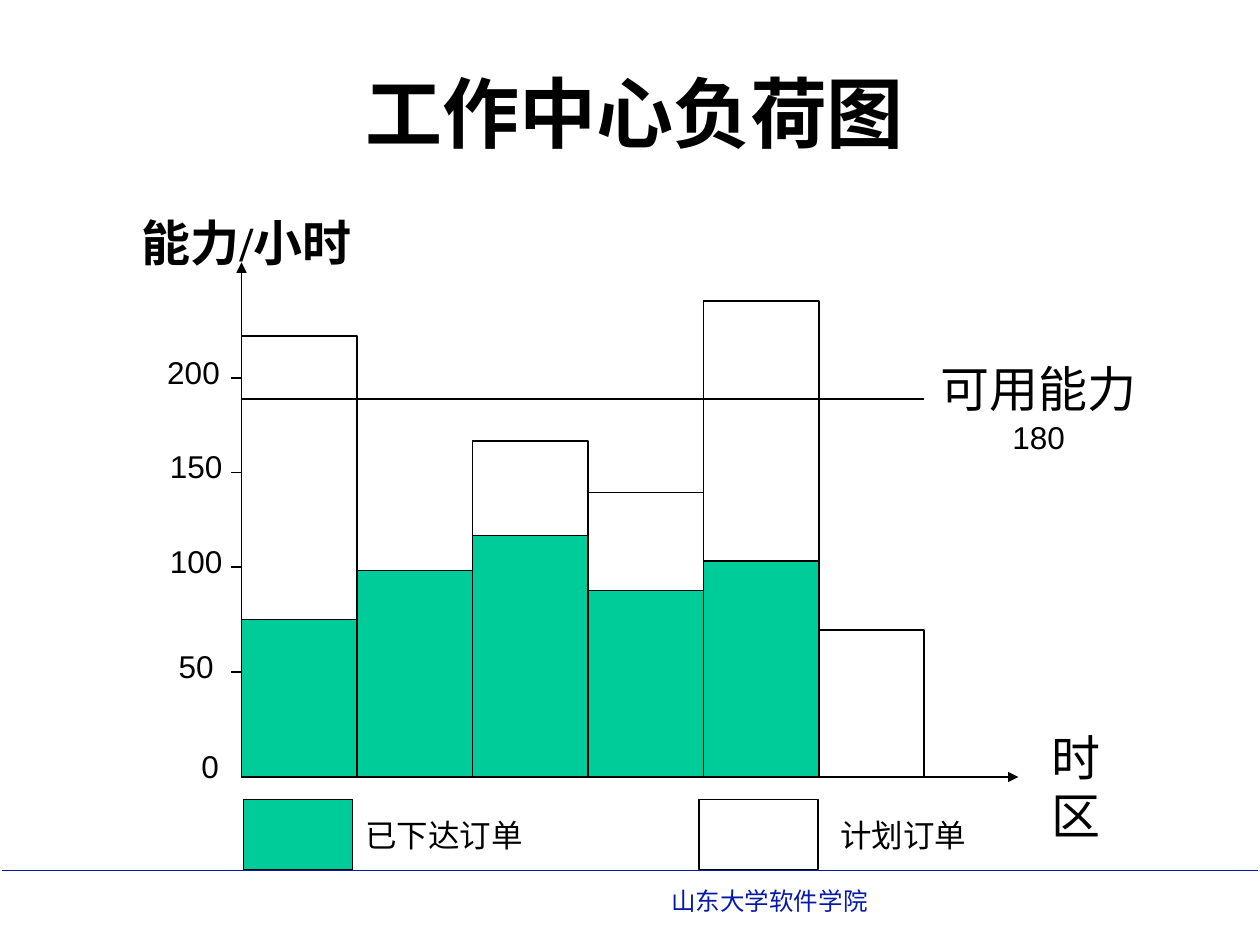
from pptx import Presentation
from pptx.dml.color import RGBColor
from pptx.enum.shapes import MSO_CONNECTOR, MSO_SHAPE
from pptx.enum.text import PP_ALIGN
from pptx.oxml.ns import qn
from pptx.util import Pt
from lxml import etree

STRAIGHT = MSO_CONNECTOR.STRAIGHT
RECTANGLE = MSO_SHAPE.RECTANGLE
LEFT, CENTER = PP_ALIGN.LEFT, PP_ALIGN.CENTER

COLORS = {"ink": "000000", "released": "00CC99", "white": "FFFFFF", "footer": "061AAA"}

# Plot geometry in points
AXIS_X, BASE_Y = 138, 444
BAR_WIDTH, LAST_WIDTH = 66, 60
PLOT_RIGHT = AXIS_X + 5 * BAR_WIDTH + LAST_WIDTH
# (released height, planned height) per time zone
LOADS = [(90, 162), (118, 0), (138, 54), (106.5, 56), (123.5, 148.5), (0, 84)]
# (label, left, top, width, wraps)
SCALE_LABELS = [
    ("200", 88.5, 198, 50.5, True),
    ("150", 90, 252, 54, True),
    ("100", 90, 306, 66, True),
    ("50", 95, 366, 38, True),
    ("0", 108, 423.5, 24.5, False),
]
TICKS = [384, 324, 270, 216]


def rgb(name):
    return RGBColor.from_string(COLORS[name])


def add_line(page, x1, y1, x2, y2, color="ink", weight=0.75, arrow=False):
    line = page.shapes.add_connector(STRAIGHT, Pt(x1), Pt(y1), Pt(x2), Pt(y2))
    line.line.color.rgb = rgb(color)
    line.line.width = Pt(weight)
    if arrow:
        etree.SubElement(line.line._get_or_add_ln(), qn("a:tailEnd"), type="triangle")
    etree.SubElement(line._element.spPr, qn("a:effectLst"))


def add_rectangle(page, left, top, width, height, fill=None):
    rectangle = page.shapes.add_shape(RECTANGLE, Pt(left), Pt(top), Pt(width), Pt(height))
    rectangle.shadow.inherit = False
    if fill:
        rectangle.fill.solid()
        rectangle.fill.fore_color.rgb = rgb(fill)
    else:
        rectangle.fill.background()
    rectangle.line.color.rgb = rgb("ink")
    rectangle.line.width = Pt(0.75)


def add_text(page, left, top, width, height, lines, align=LEFT, wrap=True,
             bold=False, color="ink", font="Arial"):
    """Add a text box; lines holds (text, size) pairs. Return its first paragraph."""
    box = page.shapes.add_textbox(Pt(left), Pt(top), Pt(width), Pt(height))
    frame = box.text_frame
    frame.word_wrap = wrap
    for index, (text, size) in enumerate(lines):
        para = frame.add_paragraph() if index else frame.paragraphs[0]
        para.alignment = align
        span = para.add_run()
        span.text = text
        span.font.name = font
        span.font.size = Pt(size)
        span.font.bold = bold
        span.font.color.rgb = rgb(color)
    return frame.paragraphs[0]


def add_footer(page):
    add_line(page, 1, 497.5, 719, 497.5, "footer", 1)
    add_text(page, 376.5, 502.5, 312, 24.5, [("山东大学软件学院", 14)], color="footer")


def add_axes(page):
    label = add_text(page, 54, 108, 612, 372, [("能力/小时", 28)],
                     bold=True, font="Times New Roman")
    label.line_spacing = 1.3
    label._p.get_or_add_pPr().set("marL", str(Pt(20)))
    add_line(page, AXIS_X, BASE_Y, 582, BASE_Y, arrow=True)
    add_line(page, AXIS_X, BASE_Y, AXIS_X, 150, arrow=True)
    add_text(page, 593.5, 412, 70, 41, [("时区", 28)], wrap=False)


def add_bars(page):
    for index, (released, planned) in enumerate(LOADS):
        left = AXIS_X + index * BAR_WIDTH
        width = LAST_WIDTH if index == len(LOADS) - 1 else BAR_WIDTH
        if released:
            add_rectangle(page, left, BASE_Y - released, width, released, "released")
        if planned:
            add_rectangle(page, left, BASE_Y - released - planned, width, planned)


def add_capacity(page):
    add_line(page, AXIS_X, 228, PLOT_RIGHT, 228)
    add_text(page, 530.5, 201.5, 126, 62.5, [("可用能力", 28), ("180", 18)],
             align=CENTER, wrap=False)


def add_scale(page):
    for y in TICKS:
        add_line(page, AXIS_X, y, AXIS_X - 6, y)
    for label, left, top, width, wrap in SCALE_LABELS:
        add_text(page, left, top, width, 29, [(label, 18)], wrap=wrap)


def add_legend(page):
    add_rectangle(page, 139, 457, 62.5, 40, "released")
    add_text(page, 201.5, 463, 147.5, 29, [("已下达订单", 18)])
    add_rectangle(page, 399.5, 457, 68, 40, "white")
    add_text(page, 473, 463, 117.5, 29, [("计划订单", 18)])


def main():
    deck = Presentation()
    deck.slide_width, deck.slide_height = Pt(720), Pt(540)
    page = deck.slides.add_slide(deck.slide_layouts[6])

    # Footer rule and school name
    add_footer(page)
    # Load diagram
    add_axes(page)
    add_bars(page)
    add_capacity(page)
    add_scale(page)
    add_legend(page)
    # Title
    add_text(page, 157.5, 34, 410.5, 60.5, [("工作中心负荷图", 44)], align=CENTER, bold=True)

    deck.save("out.pptx")


if __name__ == "__main__":
    main()
